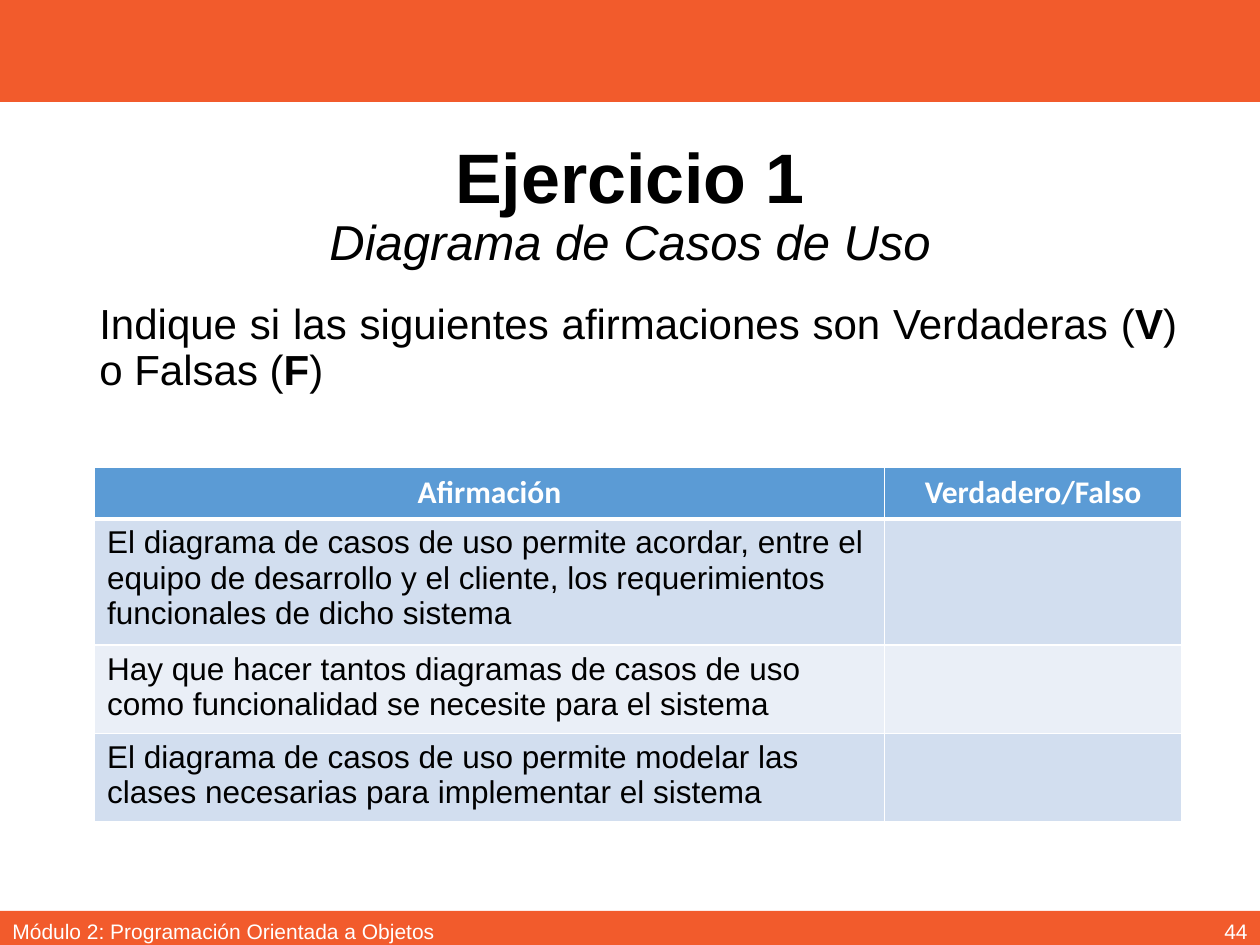
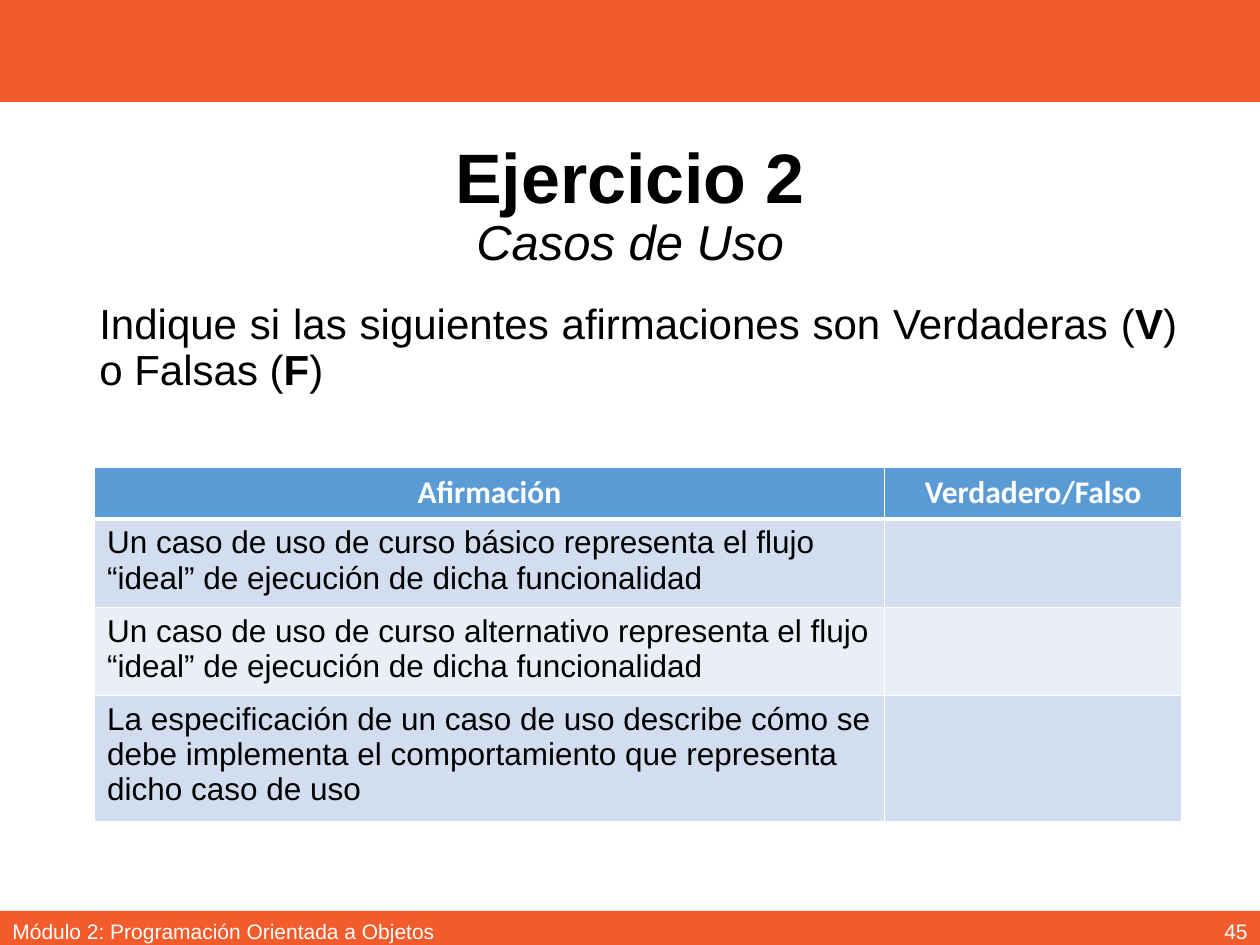
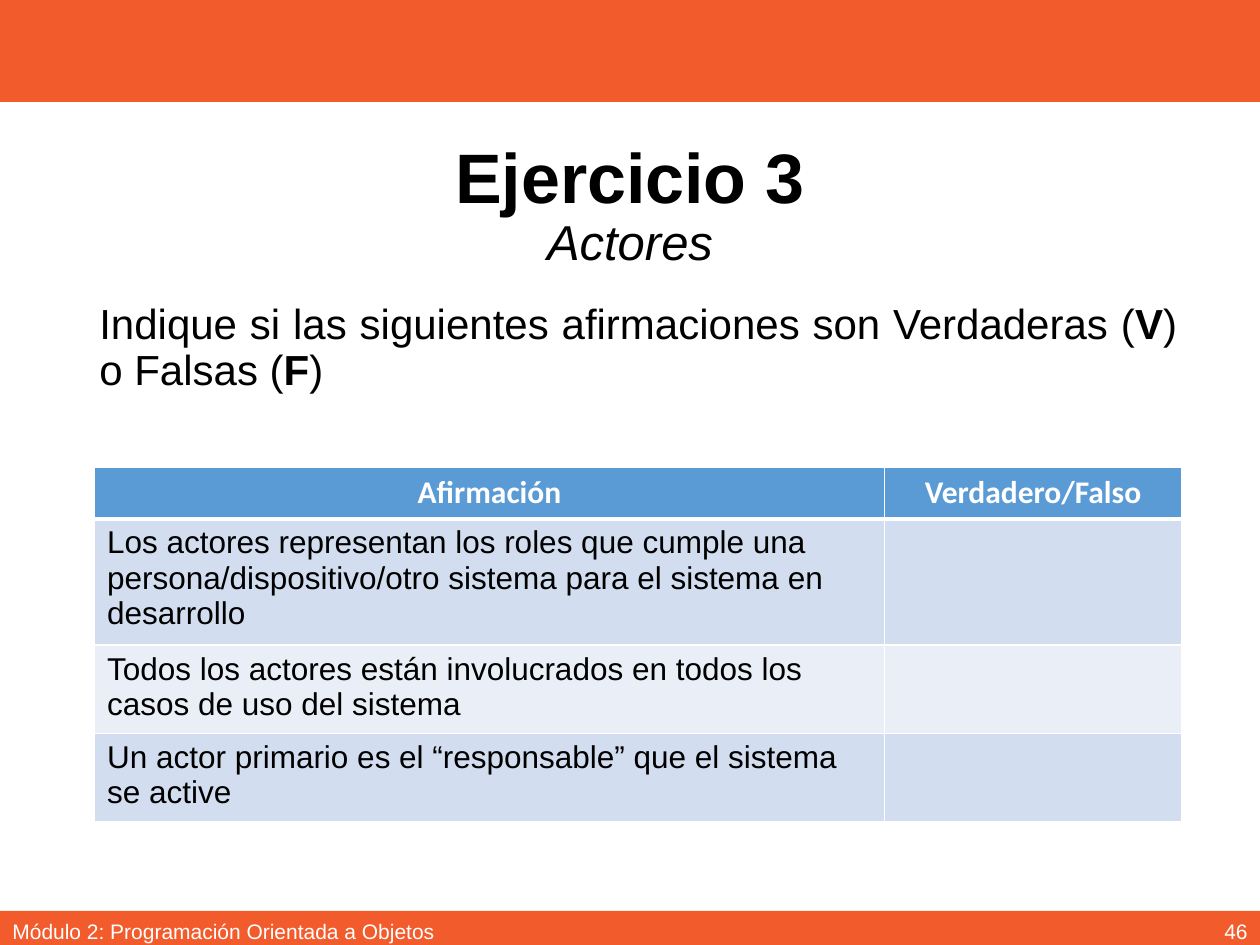
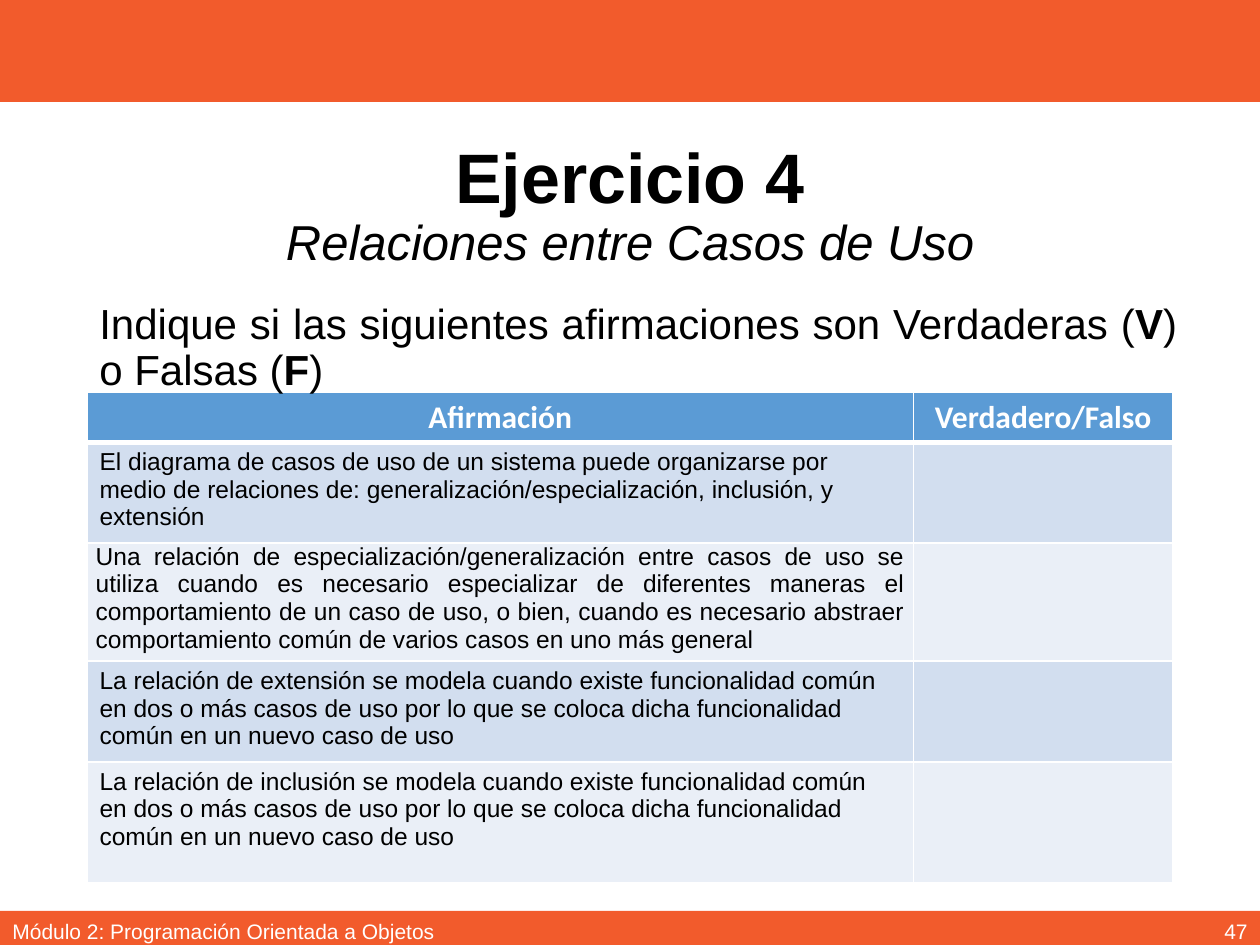
import pptx
import pptx.dml.color
import pptx.enum.shapes
import pptx.enum.text
import pptx.util
from lxml import etree
from pptx.oxml.ns import qn

Inches = pptx.util.Inches
Pt = pptx.util.Pt
ALIGN = pptx.enum.text.PP_ALIGN
ANCHOR = pptx.enum.text.MSO_ANCHOR


def rgb(value):
    return pptx.dml.color.RGBColor.from_string(value)


class Deck:
    ORANGE = "F25B2C"
    BLUE = "5B9BD5"
    ROW_FILLS = ("D2DEEF", "EAEFF7")
    BLACK = "000000"
    WHITE = "FFFFFF"
    FONT = "Arial"
    FOOTER = "Módulo 2: Programación Orientada a Objetos"
    BANDS = ((0, 0.81), (7.23, 0.31))

    def __init__(self):
        self.prs = pptx.Presentation()
        self.prs.slide_width = Inches(10)
        self.prs.slide_height = Inches(7.5)
        self.s = None

    def new_slide(self):
        self.s = self.prs.slides.add_slide(self.prs.slide_layouts[5])

    def master_bands(self):
        tree = self.prs.slide_master.shapes.element
        for position, (top, height) in enumerate(self.BANDS, 2):
            sp = self.s.shapes.add_shape(
                pptx.enum.shapes.MSO_SHAPE.RECTANGLE,
                0, Inches(top), self.prs.slide_width, Inches(height))
            sp.shadow.inherit = False
            sp.fill.solid()
            sp.fill.fore_color.rgb = rgb(self.ORANGE)
            sp.line.fill.background()
            tree.insert(position, sp.element)

    def run(self, p, text, size, color=BLACK, font=FONT, bold=False, italic=False):
        r = p.add_run()
        r.text = text
        r.font.name = font
        r.font.size = Pt(size)
        r.font.color.rgb = rgb(color)
        r.font.bold = bold
        r.font.italic = italic

    def title(self, heading, subtitle):
        sp = self.s.shapes.title
        sp.left, sp.top = Inches(0.69), Inches(0.98)
        sp.width, sp.height = Inches(8.62), Inches(1.33)
        tf = sp.text_frame
        tf.auto_size = pptx.enum.text.MSO_AUTO_SIZE.NONE
        tf.vertical_anchor = ANCHOR.MIDDLE
        p = tf.paragraphs[0]
        p.alignment = ALIGN.CENTER
        p.line_spacing = 0.9
        self.run(p, heading, 40, bold=True)
        p.add_line_break()
        self.run(p, subtitle, 28, italic=True)

    def textbox(self, left, top, width, height, align, anchor=ANCHOR.TOP):
        sp = self.s.shapes.add_textbox(
            Inches(left), Inches(top), Inches(width), Inches(height))
        tf = sp.text_frame
        tf.word_wrap = True
        tf.vertical_anchor = anchor
        p = tf.paragraphs[0]
        p.alignment = align
        return p

    def footer(self, number):
        p = self.textbox(0, 7.19, 3.88, 0.4, ALIGN.LEFT, ANCHOR.MIDDLE)
        self.run(p, self.FOOTER, 12, self.WHITE)
        p = self.textbox(7.75, 7.19, 2.25, 0.4, ALIGN.RIGHT, ANCHOR.MIDDLE)
        self.run(p, str(number), 12, self.WHITE)

    def instruction(self):
        p = self.textbox(0.69, 2.36, 8.75, 0.98, ALIGN.JUSTIFY)
        p.line_spacing = 0.9
        parts = ("Indique si las siguientes afirmaciones son Verdaderas (", "V",
                 ") o Falsas (", "F", ")")
        for i, text in enumerate(parts):
            self.run(p, text, 24, bold=i % 2 == 1)

    def borders(self, cell, top, bottom):
        tc_pr = cell._tc.get_or_add_tcPr()
        for side, width in (("L", 1), ("R", 1), ("T", top), ("B", bottom)):
            ln = etree.SubElement(tc_pr, qn("a:ln" + side), w=str(Pt(width)))
            fill = etree.SubElement(ln, qn("a:solidFill"))
            etree.SubElement(fill, qn("a:srgbClr"), val=self.WHITE)

    def table(self, statements, left, top, col_widths, row_heights, size, justified_row):
        table = self.s.shapes.add_table(
            len(row_heights), len(col_widths), Inches(left), Inches(top),
            Inches(sum(col_widths)), Inches(sum(row_heights))).table
        for column, width in zip(table.columns, col_widths):
            column.width = Inches(width)
        for row, height in zip(table.rows, row_heights):
            row.height = Inches(height)

        for i, row in enumerate(table.rows):
            for cell in row.cells:
                self.borders(cell, 3 if i == 1 else 1, 3 if i == 0 else 1)
                cell.fill.solid()
                cell.fill.fore_color.rgb = rgb(
                    self.ROW_FILLS[(i - 1) % 2] if i else self.BLUE)

        for cell, text in zip(table.rows[0].cells, ("Afirmación", "Verdadero/Falso")):
            p = cell.text_frame.paragraphs[0]
            p.alignment = ALIGN.CENTER
            self.run(p, text, 18, self.WHITE, "Calibri", bold=True)

        for i, text in enumerate(statements, 1):
            cell = table.cell(i, 0)
            p = cell.text_frame.paragraphs[0]
            if i == justified_row:
                cell.margin_left = cell.margin_right = Inches(0.07)
                cell.margin_top = cell.margin_bottom = 0
                p.alignment = ALIGN.JUSTIFY
            self.run(p, text, size)


STANDARD_TABLE = dict(left=0.75, top=3.71, col_widths=(6.27, 2.36),
                      row_heights=(0.41,) * 4, size=18, justified_row=None)
DENSE_TABLE = dict(left=0.69, top=3.11, col_widths=(6.56, 2.06),
                   row_heights=(0.38, 0.55, 0.9, 0.77, 0.96), size=14, justified_row=2)
FIRST_PAGE = 44

EXERCISES = (
    ("Diagrama de Casos de Uso", STANDARD_TABLE, (
        "El diagrama de casos de uso permite acordar, entre el equipo de desarrollo "
        "y el cliente, los requerimientos funcionales de dicho sistema",
        "Hay que hacer tantos diagramas de casos de uso como funcionalidad se "
        "necesite para el sistema",
        "El diagrama de casos de uso permite modelar las clases necesarias para "
        "implementar el sistema",
    )),
    ("Casos de Uso", STANDARD_TABLE, (
        "Un caso de uso de curso básico representa el flujo “ideal” de ejecución de "
        "dicha funcionalidad",
        "Un caso de uso de curso alternativo representa el flujo “ideal” de ejecución "
        "de dicha funcionalidad",
        "La especificación de un caso de uso describe cómo se debe implementa el "
        "comportamiento que representa dicho caso de uso",
    )),
    ("Actores", STANDARD_TABLE, (
        "Los actores representan los roles que cumple una persona/dispositivo/otro "
        "sistema para el sistema en desarrollo",
        "Todos los actores están involucrados en todos los casos de uso del sistema",
        "Un actor primario es el “responsable” que el sistema se active",
    )),
    ("Relaciones entre Casos de Uso", DENSE_TABLE, (
        "El diagrama de casos de uso de un sistema puede organizarse por medio de "
        "relaciones de: generalización/especialización, inclusión, y extensión",
        "Una relación de especialización/generalización entre casos de uso se utiliza "
        "cuando es necesario especializar de diferentes maneras el comportamiento de "
        "un caso de uso, o bien, cuando es necesario abstraer comportamiento común de "
        "varios casos en uno más general",
        "La relación de extensión se modela cuando existe funcionalidad común en dos "
        "o más casos de uso por lo que se coloca dicha funcionalidad común en un "
        "nuevo caso de uso",
        "La relación de inclusión se modela cuando existe funcionalidad común en dos "
        "o más casos de uso por lo que se coloca dicha funcionalidad común en un "
        "nuevo caso de uso",
    )),
)


def main():
    deck = Deck()
    for i, (subtitle, table_style, statements) in enumerate(EXERCISES):
        deck.new_slide()
        if i == 0:
            deck.master_bands()
        deck.title(f"Ejercicio {i + 1}", subtitle)
        deck.footer(FIRST_PAGE + i)
        deck.table(statements, **table_style)
        deck.instruction()
    deck.prs.save("out.pptx")


if __name__ == "__main__":
    main()
